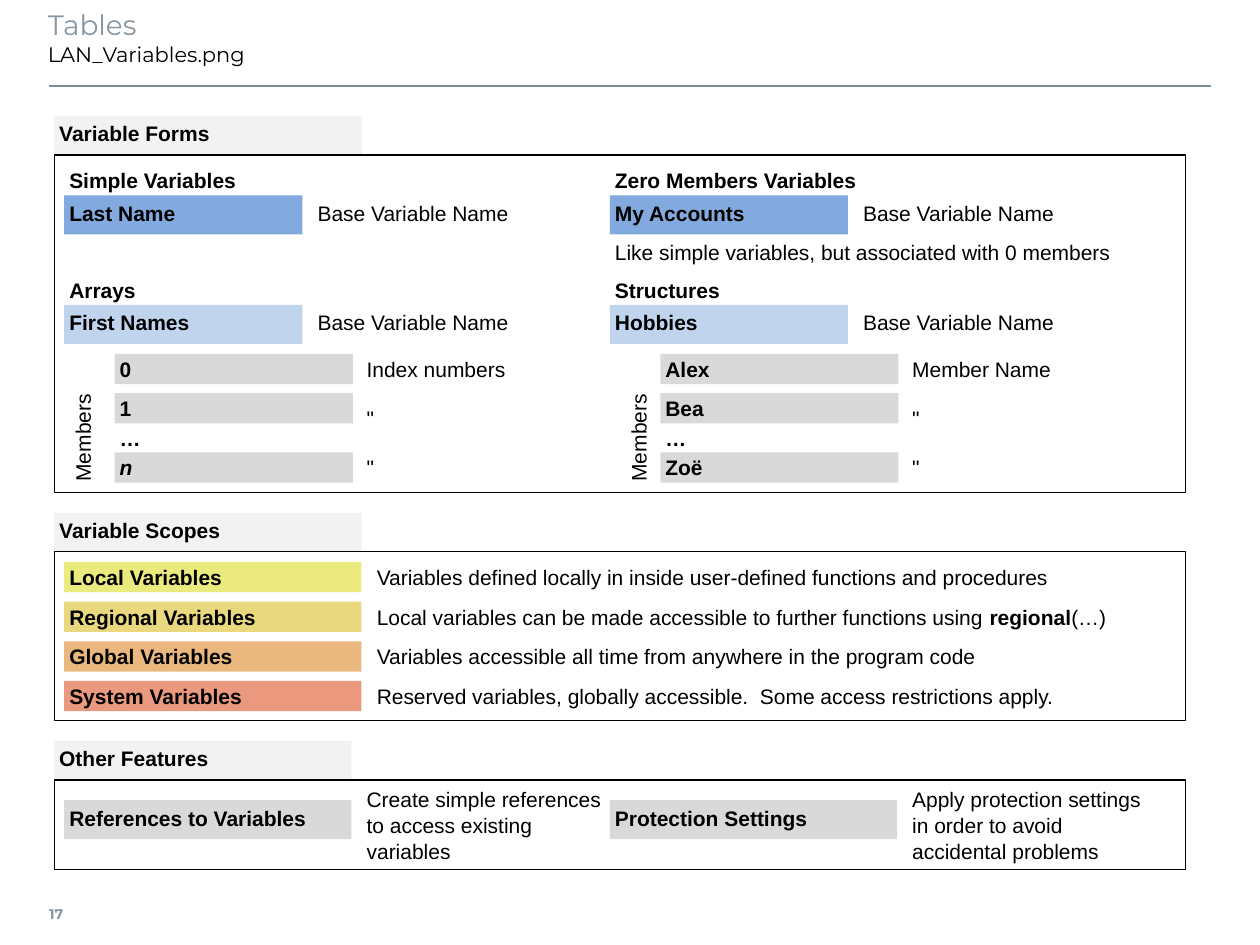
"""Build the slide of variable forms, scopes and other features."""
import dataclasses

import pptx
import pptx.dml.color
import pptx.enum.shapes
import pptx.enum.text
import pptx.oxml
import pptx.oxml.ns
import pptx.util
from pptx.util import Inches

COLORS = {
    "black": "000000", "title": "8996A0", "rule": "808D97",
    "heading": "F2F2F2", "simple": "83AADE", "compound": "C1D4EE",
    "member": "D9D9D9", "local": "EAEA7E", "regional": "EAD87E",
    "global": "EAB77E", "system": "EA987E",
}
TOP = pptx.enum.text.MSO_ANCHOR.TOP
MIDDLE = pptx.enum.text.MSO_ANCHOR.MIDDLE
LEFT = pptx.enum.text.PP_ALIGN.LEFT
CENTER = pptx.enum.text.PP_ALIGN.CENTER
RECTANGLE = pptx.enum.shapes.MSO_SHAPE.RECTANGLE
COLUMN_LEFTS = (0.51, 4.84)
DETAIL_GAP = 0.08
TALL, SHORT = 0.31, 0.24


@dataclasses.dataclass
class Box:
    """A frame in inches."""
    left: float
    top: float
    width: float
    height: float = SHORT

    def lengths(self) -> list:
        """Return the frame as lengths."""
        return [Inches(v) for v in dataclasses.astuple(self)]


@dataclasses.dataclass
class Section:
    """A titled, framed part of the slide."""
    title: str
    top: float
    tab_width: float
    frame_height: float


@dataclasses.dataclass
class Form:
    """A kind of variable with its name and members."""
    title: str
    name: str
    fill: str
    column: int
    top: float
    members: tuple = ()
    member_note: str = ""


@dataclasses.dataclass
class Scope:
    """A variable scope with its description as (text, bold) pieces."""
    name: str
    fill: str
    pieces: list


SECTIONS = [
    Section("Variable Forms", 0.92, 2.44, 2.68),
    Section("Variable Scopes", 4.07, 2.44, 1.34),
    Section("Other Features", 5.88, 2.36, 0.71),
]
FORMS = [
    Form("Simple Variables", "Last Name", "simple", 0, 1.31),
    Form("Zero Members Variables", "My Accounts", "simple", 1, 1.31),
    Form("Arrays", "First Names", "compound", 0, 2.18, ("0", "1", "n"), "Index numbers"),
    Form("Structures", "Hobbies", "compound", 1, 2.18, ("Alex", "Bea", "Zoë"), "Member Name"),
]
SCOPES = [
    Scope("Local Variables", "local", [
        ("Variables defined locally in inside user-defined functions and procedures", False)]),
    Scope("Regional Variables", "regional", [
        ("Local variables can be made accessible to further functions using ", False),
        ("regional", True), ("(…)", False)]),
    Scope("Global Variables", "global", [
        ("Variables accessible all time from anywhere in the program code", False)]),
    Scope("System Variables", "system", [
        ("Reserved variables, globally accessible.  Some access restrictions apply.", False)]),
]
FEATURES = [
    ("References to Variables",
     "Create simple references\nto access existing\nvariables"),
    ("Protection Settings",
     "Apply protection settings\nin order to avoid\naccidental problems"),
]


def add_text(p, text: str, *, size=12, font="Arial", color="black", bold=False, italic=False):
    """Append a formatted run to a paragraph."""
    r = p.add_run()
    r.text = text
    r.font.size = pptx.util.Pt(size)
    r.font.name = font
    r.font.bold = bold
    r.font.italic = italic
    r.font.color.rgb = pptx.dml.color.RGBColor.from_string(COLORS[color])


def set_frame(tf, anchor, margins=(0.04,) * 4, wrap=False):
    """Set anchor, margins and wrapping of a text frame."""
    tf.word_wrap = wrap
    tf.vertical_anchor = anchor
    tf.margin_left, tf.margin_top, tf.margin_right, tf.margin_bottom = map(Inches, margins)


def add_rect(slide, box: Box, fill=None, line=None):
    """Add a plain rectangle."""
    sp = slide.shapes.add_shape(RECTANGLE, *box.lengths())
    sp.shadow.inherit = False
    for paint, color in ((sp.fill, fill), (sp.line.fill, line)):
        if color:
            paint.solid()
            paint.fore_color.rgb = pptx.dml.color.RGBColor.from_string(COLORS[color])
        else:
            paint.background()
    if line:
        sp.line.width = pptx.util.Pt(0.75)
    return sp


def add_label(slide, box: Box, text, *, fill=None, anchor=MIDDLE, align=LEFT, bold=False, **fmt):
    """Add a label of text lines or of (text, bold) pieces."""
    sp = add_rect(slide, box, fill) if fill else slide.shapes.add_textbox(*box.lengths())
    tf = sp.text_frame
    set_frame(tf, anchor)
    lines = [[(s, bold)] for s in text.split("\n")] if isinstance(text, str) else [text]
    for i, pieces in enumerate(lines):
        p = tf.add_paragraph() if i else tf.paragraphs[0]
        p.alignment = align
        if len(lines) > 1:
            p.line_spacing = 1.02
        for piece, piece_bold in pieces:
            add_text(p, piece, bold=piece_bold, **fmt)
    return sp


def add_header(slide):
    """Fill the title and add the rule and the page number."""
    title = slide.shapes.title
    title.left, title.top, title.width, title.height = Box(0.38, 0.01, 9.21, 0.63).lengths()
    tf = title.text_frame
    set_frame(tf, TOP, (0, 0.05, 0.1, 0.05), True)
    tf.auto_size = pptx.enum.text.MSO_AUTO_SIZE.NONE
    p = tf.paragraphs[0]
    p.alignment = LEFT
    add_text(p, "Tables", size=16, font="Montserrat", color="title")
    p.add_line_break()
    add_text(p, "LAN_Variables.png", font="Montserrat")
    rule = slide.shapes.add_connector(
        pptx.enum.shapes.MSO_CONNECTOR.STRAIGHT, *Box(0.39, 0.68, 9.61, 0.68).lengths())
    rule.line.width = pptx.util.Pt(1)
    rule.line.color.rgb = pptx.dml.color.RGBColor.from_string(COLORS["rule"])
    rule._element.spPr.append(
        pptx.oxml.parse_xml(f"<a:effectLst {pptx.oxml.ns.nsdecls('a')}/>"))
    number = add_label(slide, Box(0.39, 7.06, 0.35, 0.39), "17",
                       size=8, font="Montserrat", color="title", bold=True)
    set_frame(number.text_frame, MIDDLE, (0, 0.05, 0.08, 0.05))


def add_form(slide, form: Form):
    """Add a variable form and its members."""
    x, y = COLUMN_LEFTS[form.column], form.top
    add_label(slide, Box(x, y, 2.36), form.title, bold=True)
    add_label(slide, Box(x, y + SHORT, 1.89, TALL), form.name,
              fill=form.fill, anchor=TOP, bold=True)
    add_label(slide, Box(x + 1.89 + DETAIL_GAP, y + SHORT, 1.65, TALL),
              "Base Variable Name", anchor=TOP)
    if not form.members:
        return
    notes = (form.member_note, '"', '"')
    for i, (name, note, dy) in enumerate(zip(form.members, notes, (0.63, 0.94, 1.41))):
        add_label(slide, Box(x + 0.4, y + dy, 1.89), name,
                  fill="member", bold=True, italic=name == "n")
        add_label(slide, Box(x + 2.36, y + 0.63 + 0.39 * i, 1.26), note)
    add_label(slide, Box(x + 0.4, y + 1.18, 1.5), "…", bold=True)
    side = Box((0, 4.41)[form.column], y + 1.14, 1.34, TALL)
    add_label(slide, side, "Members", anchor=TOP, align=CENTER).rotation = 270


def main():
    """Build and save the slide."""
    prs = pptx.Presentation()
    prs.slide_width, prs.slide_height = Inches(10), Inches(7.5)
    slide = prs.slides.add_slide(prs.slide_layouts[5])
    add_header(slide)
    for section in SECTIONS:
        add_label(slide, Box(0.43, section.top, section.tab_width, TALL), section.title,
                  fill="heading", anchor=TOP, bold=True)
        add_rect(slide, Box(0.43, section.top + TALL, 8.98, section.frame_height), line="black")
    for form in FORMS:
        add_form(slide, form)
    add_label(slide, Box(COLUMN_LEFTS[1], 1.86, 4.2, TALL),
              "Like simple variables, but associated with 0 members", anchor=TOP)
    for i, scope in enumerate(SCOPES):
        y = 4.46 + 0.315 * i
        add_label(slide, Box(0.51, y, 2.36), scope.name, fill=scope.fill, bold=True)
        add_label(slide, Box(2.95, y, 6.38), scope.pieces)
    for x, (name, detail) in zip(COLUMN_LEFTS, FEATURES):
        add_label(slide, Box(x, 6.35, 2.28, TALL), name, fill="member", anchor=TOP, bold=True)
        add_label(slide, Box(x + 2.36, 6.19, 2.2, 0.71), detail)
    prs.save("out.pptx")


if __name__ == "__main__":
    main()
